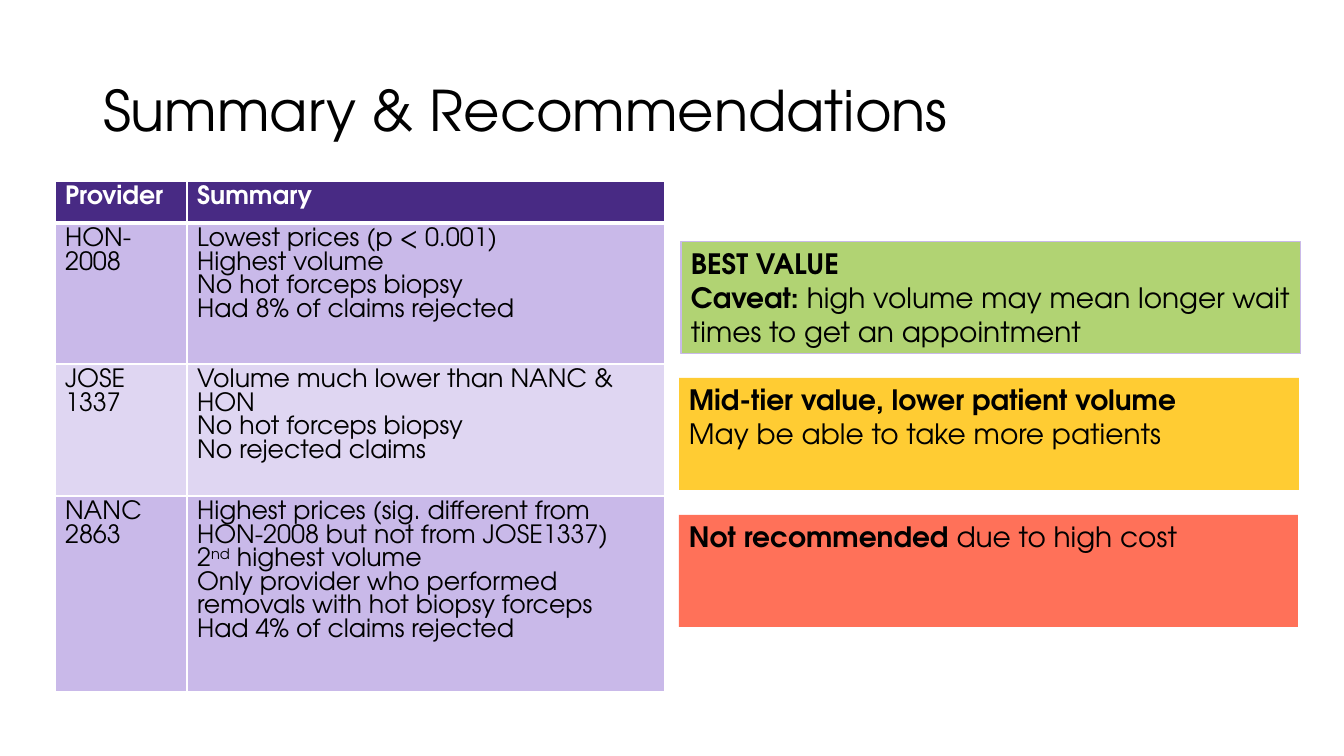
"""Build the summary and recommendations slide."""
from lxml.etree import SubElement
from pptx import Presentation
from pptx.dml.color import RGBColor
from pptx.enum.shapes import MSO_SHAPE
from pptx.enum.text import MSO_ANCHOR, MSO_AUTO_SIZE, PP_ALIGN
from pptx.oxml.ns import qn
from pptx.util import Pt

FONT = "TeX Gyre Adventor"
BLACK = RGBColor(0x00, 0x00, 0x00)
WHITE = RGBColor(0xFF, 0xFF, 0xFF)
PURPLE = RGBColor(0x48, 0x2A, 0x84)
LILAC = RGBColor(0xC9, 0xB9, 0xE9)
PALE = RGBColor(0xDF, 0xD6, 0xF2)
GREEN = RGBColor(0xB1, 0xD3, 0x73)
AMBER = RGBColor(0xFF, 0xC0, 0x00)
RED = RGBColor(0xFF, 0x26, 0x00)

TITLE = "Summary & Recommendations"
ROWS = [
    (42, ["Provider"], ["Summary"]),
    (141, ["HON-", "2008"],
     ["Lowest prices (p < 0.001)", "Highest volume",
      "No hot forceps biopsy", "Had 8% of claims rejected"]),
    (132, ["JOSE", "1337"],
     ["Volume much lower than NANC & HON",
      "No hot forceps biopsy", "No rejected claims"]),
    (196, ["NANC", "2863"],
     ["Highest prices (sig. different from HON-2008 but not from JOSE1337)",
      ("2", "nd", " highest volume"),
      "Only provider who performed removals with hot biopsy forceps",
      "Had 4% of claims rejected"]),
]
COLS = [132, 478]
BOXES = [
    (681, 242, 620, GREEN, 100, LILAC,
     [("BEST VALUE", ""),
      ("Caveat: ",
       "high volume may mean longer wait times to get an appointment")]),
    (679, 378, 620, AMBER, 80, None,
     [("Mid-tier value, lower patient volume", ""),
      ("", "May be able to take more patients")]),
    (679, 515, 619, RED, 65, None,
     [("Not recommended ", "due to high cost")]),
]
TALL = 112


def px(num):
    return round(num * 914400 / 100.8)


def style(font, size, color, bold=None):
    font.name, font.size, font.bold = FONT, Pt(size), bold
    font.color.rgb = color


def lines(frame, items):
    for i, item in enumerate(items):
        para = frame.paragraphs[0] if i == 0 else frame.add_paragraph()
        yield para, item


def border(cell, head):
    props = cell._tc.get_or_add_tcPr()
    for i, side in enumerate(("lnL", "lnR", "lnT", "lnB")):
        width = Pt(3 if head and side == "lnB" else 1)
        line = SubElement(props, qn(f"a:{side}"), w=str(width))
        fill = SubElement(line, qn("a:solidFill"))
        SubElement(fill, qn("a:srgbClr"), val=str(WHITE))
        props.insert(i, line)


def add_title(slide):
    title = slide.shapes.title
    title.left, title.top = px(93), px(40)
    title.width, title.height = px(1159), px(146)
    frame = title.text_frame
    frame.text = TITLE
    frame.vertical_anchor = MSO_ANCHOR.MIDDLE
    para = frame.paragraphs[0]
    para.alignment, para.line_spacing = PP_ALIGN.LEFT, 0.9
    style(para.font, 40, BLACK)


def fill_cell(cell, row, items):
    head = row == 0
    cell.fill.solid()
    cell.fill.fore_color.rgb = PURPLE if head else LILAC if row % 2 else PALE
    border(cell, head)
    for para, item in lines(cell.text_frame, items):
        style(para.font, 18, WHITE if head else BLACK, head)
        parts = (item,) if isinstance(item, str) else item
        for i, part in enumerate(parts):
            run = para.add_run()
            run.text = part
            if i == 1:
                run._r.get_or_add_rPr().set("baseline", "30000")


def add_grid(slide):
    tall = sum(row[0] for row in ROWS)
    table = slide.shapes.add_table(
        len(ROWS), len(COLS), px(55), px(181), px(sum(COLS)), px(tall)).table
    for col, wide in zip(table.columns, COLS):
        col.width = px(wide)
    for r, (high, *cells) in enumerate(ROWS):
        table.rows[r].height = px(high)
        for c, items in enumerate(cells):
            fill_cell(table.cell(r, c), r, items)


def add_box(slide, left, top, wide, color, alpha, edge, items):
    box = slide.shapes.add_shape(
        MSO_SHAPE.RECTANGLE, px(left), px(top), px(wide), px(TALL))
    box.shadow.inherit = False
    box.fill.solid()
    box.fill.fore_color.rgb = color
    if alpha < 100:
        tint = box.fill._xPr.find(qn("a:solidFill"))[0]
        SubElement(tint, qn("a:alpha"), val=str(alpha * 1000))
    if edge is None:
        box.line.fill.background()
    else:
        box.line.color.rgb = edge
        box.line.width = Pt(0.75)
    frame = box.text_frame
    frame.word_wrap = True
    frame.auto_size = MSO_AUTO_SIZE.SHAPE_TO_FIT_TEXT
    frame.vertical_anchor = MSO_ANCHOR.TOP
    for para, pair in lines(frame, items):
        para.alignment = PP_ALIGN.LEFT
        style(para.font, 20, BLACK)
        for text, bold in zip(pair, (True, False)):
            if text:
                run = para.add_run()
                run.text, run.font.bold = text, bold


def main():
    deck = Presentation()
    deck.slide_width, deck.slide_height = px(1344), px(756)
    slide = deck.slides.add_slide(deck.slide_layouts[5])
    add_title(slide)
    add_grid(slide)
    for box in BOXES:
        add_box(slide, *box)
    deck.save("out.pptx")


if __name__ == "__main__":
    main()
